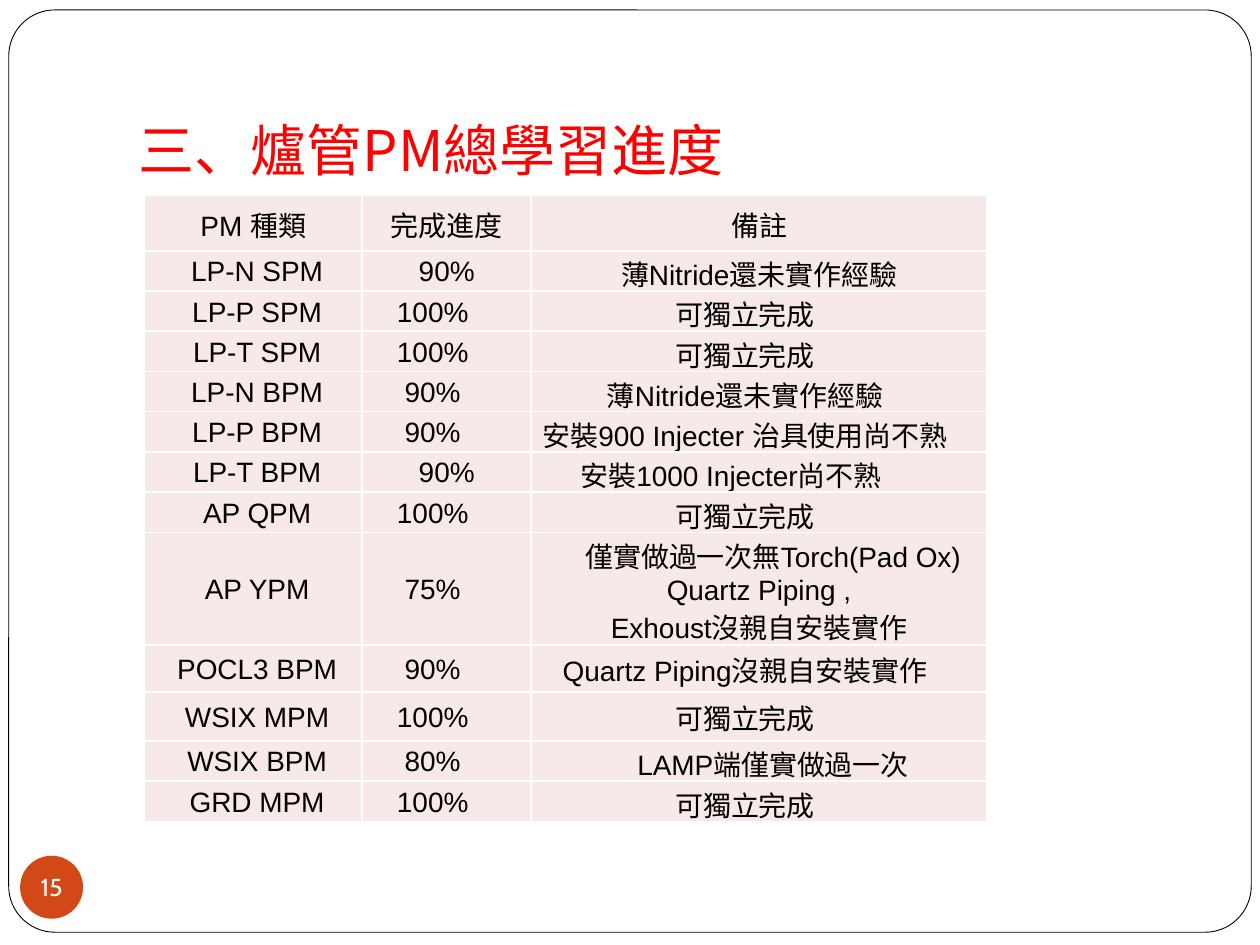
from dataclasses import dataclass

from lxml.etree import SubElement
from pptx import Presentation
from pptx.dml.color import RGBColor as RGB
from pptx.enum.shapes import MSO_SHAPE as Shape
from pptx.enum.text import MSO_ANCHOR as Anchor, PP_ALIGN as Align
from pptx.oxml.ns import qn
from pptx.util import Pt


@dataclass(frozen=True)
class Theme:
    black: str = "000000"
    white: str = "FFFFFF"
    red: str = "FF0000"
    rust: str = "D34817"
    blush: str = "F7E9E8"
    cjk: str = "Noto Sans CJK SC"
    sans: str = "Arial"
    round: str = "Cabin"
    head: int = 32
    body: int = 16
    small: int = 14


THEME = Theme()

DONE = ("可獨立完成", -1)
HEADS = ("PM 種類", "完成進度", "備註")
# Name, progress and note; the last two carry a sideways shift in ems.
ROWS = [
    ("LP-N SPM", ("90%", 0), ("薄Nitride還未實作經驗", 0)),
    ("LP-P SPM", ("100%", -1), DONE),
    ("LP-T SPM", ("100%", -1), DONE),
    ("LP-N BPM", ("90%", -1), ("薄Nitride還未實作經驗", -1)),
    ("LP-P BPM", ("90%", -1), ("安裝900 Injecter 治具使用尚不熟", -1)),
    ("LP-T BPM", ("90%", 0), ("安裝1000 Injecter尚不熟", -2)),
    ("AP QPM", ("100%", -1), DONE),
    ("AP YPM", ("75%", -1),
     ("僅實做過一次無Torch(Pad Ox) Quartz Piping ,\nExhoust沒親自安裝實作", 1)),
    ("POCL3 BPM", ("90%", -1), ("Quartz Piping沒親自安裝實作", -1)),
    ("WSIX MPM", ("100%", -1), DONE),
    ("WSIX BPM", ("80%", -1), ("LAMP端僅實做過一次", 1)),
    ("GRD MPM", ("100%", -1), DONE),
]
NAME_SHIFT = 0.28
WIDTHS = (124.6, 96.5, 260.6)
ROW_H = 23
TALL = {0: 31.7, 8: 64.5, 9: 26.6, 10: 28.1}


def write(frame, text, size=THEME.body, font=THEME.sans, color=THEME.black,
          align=Align.CENTER, indent=0):
    """Fill a text frame, one paragraph a line; indent moves the first line."""
    for i, line in enumerate(text.split("\n")):
        para = frame.paragraphs[0] if i == 0 else frame.add_paragraph()
        para.alignment = align
        if indent and i == 0:
            para._p.get_or_add_pPr().set("indent", str(Pt(indent)))
        run = para.add_run()
        run.text = line
        run.font.size = Pt(size)
        run.font.name = font
        run.font.color.rgb = RGB.from_string(color)
        SubElement(run._r.get_or_add_rPr(), qn("a:ea"), typeface=THEME.cjk)


def pad(box, left, top, right, bottom):
    box.margin_left, box.margin_top = Pt(left), Pt(top)
    box.margin_right, box.margin_bottom = Pt(right), Pt(bottom)


def rule(cell, color, width):
    """Draw a line on all four sides of a cell."""
    props = cell._tc.get_or_add_tcPr()
    for i, side in enumerate(("lnL", "lnR", "lnT", "lnB")):
        line = SubElement(props, qn(f"a:{side}"), w=str(Pt(width)))
        fill = SubElement(line, qn("a:solidFill"))
        SubElement(fill, qn("a:srgbClr"), val=color)
        props.remove(line)
        props.insert(i, line)


class Deck:
    def __init__(self, theme):
        self.theme = theme
        self.prs = Presentation()
        self.prs.slide_width, self.prs.slide_height = Pt(720), Pt(540)
        self.slide = self.prs.slides.add_slide(self.prs.slide_layouts[6])

    def shape(self, kind, box, fill, line=None):
        shape = self.slide.shapes.add_shape(kind, *map(Pt, box))
        shape.shadow.inherit = False
        shape.fill.solid()
        shape.fill.fore_color.rgb = RGB.from_string(fill)
        if line:
            shape.line.color.rgb = RGB.from_string(line)
            shape.line.width = Pt(0.5)
        else:
            shape.line.fill.background()
        return shape

    def border(self, box):
        shape = self.shape(Shape.ROUNDED_RECTANGLE, box,
                           self.theme.white, self.theme.black)
        shape.adjustments[0] = 0.05

    def title(self, text, box):
        frame = self.slide.shapes.add_textbox(*map(Pt, box)).text_frame
        frame.word_wrap = True
        frame.vertical_anchor = Anchor.BOTTOM
        pad(frame, 7.2, 3.6, 7.2, 7.2)
        write(frame, text, size=self.theme.head, font=self.theme.cjk,
              color=self.theme.red, align=Align.LEFT)

    def badge(self, text, box):
        frame = self.shape(Shape.OVAL, box, self.theme.rust).text_frame
        frame.word_wrap = False
        frame.vertical_anchor = Anchor.MIDDLE
        pad(frame, 0, 0, 0, 0)
        write(frame, text, size=self.theme.small, font=self.theme.round,
              color=self.theme.white)

    def cell(self, cell, text, shift=0):
        cell.fill.solid()
        cell.fill.fore_color.rgb = RGB.from_string(self.theme.blush)
        cell.vertical_anchor = Anchor.MIDDLE
        ems = shift * self.theme.body
        pad(cell, 1.5, 1.5, 1.5 + max(-ems, 0), 0)
        rule(cell, self.theme.white, 1)
        write(cell.text_frame, text, indent=max(ems, 0))

    def table(self, heads, rows, left, top):
        highs = [TALL.get(i, ROW_H) for i in range(len(rows) + 1)]
        box = (left, top, sum(WIDTHS), sum(highs))
        table = self.slide.shapes.add_table(
            len(highs), len(heads), *map(Pt, box)).table
        for col, width in zip(table.columns, WIDTHS):
            col.width = Pt(width)
        for row, high in zip(table.rows, highs):
            row.height = Pt(high)
        grid = [[(head, 0) for head in heads]]
        grid += [[(name, NAME_SHIFT), rate, note] for name, rate, note in rows]
        for r, line in enumerate(grid):
            for c, (text, shift) in enumerate(line):
                self.cell(table.cell(r, c), text, shift)


def main():
    deck = Deck(THEME)
    deck.border((5, 5.7, 710, 527))
    deck.title("三、爐管PM總學習進度", (72, 21.6, 612, 90))
    deck.table(HEADS, ROWS, 82.4, 111.6)
    deck.badge("15", (11.5, 489, 36, 36))
    deck.prs.save("out.pptx")


if __name__ == "__main__":
    main()
